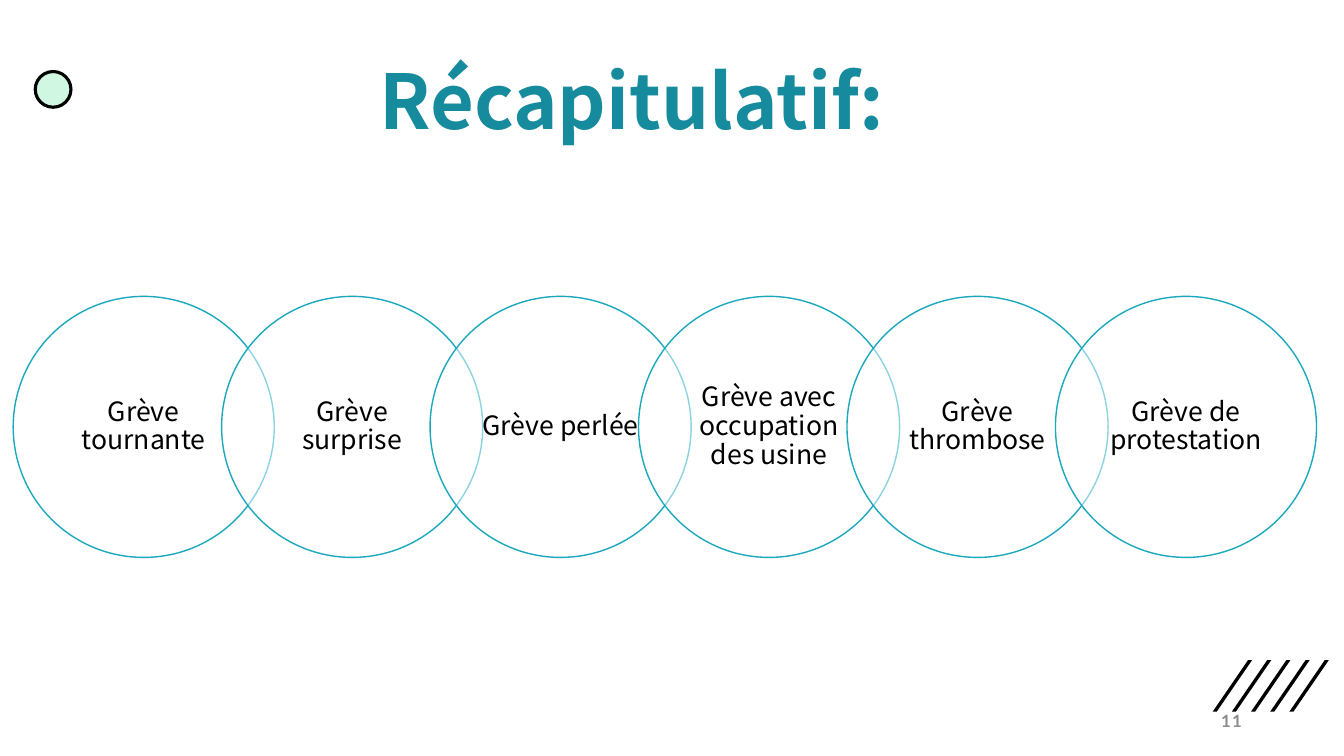
from lxml.etree import SubElement
from pptx import Presentation
from pptx.dml.color import RGBColor
from pptx.enum.shapes import MSO_SHAPE as Shape
from pptx.enum.text import MSO_ANCHOR as Anchor, PP_ALIGN as Align
from pptx.oxml.ns import qn
from pptx.util import Pt

TITLE = "Récapitulatif:"
STRIKES = [
    "Grève tournante",
    "Grève surprise",
    "Grève perlée",
    "Grève avec occupation des usine",
    "Grève thrombose",
    "Grève de protestation",
]
PAGE_NUMBER = "11"
COLORS = {
    "black": "000000", "white": "FFFFFF", "mint": "CFF7E1",
    "title": "178B9E", "ring": "1BA8BF", "number": "8C8C8C",
}
HEADING_FONT, NUMBER_FONT = "Noto Sans CJK KR", "Lato"
RING = {"left": 9.4, "top": 211.7, "size": 186.5, "pitch": 148.9}
SLASH = {"left": 866.2, "top": 471.6, "pitch": 13.7, "count": 5,
         "width": 28.1, "height": 36.7, "thickness": 2.9}


def color(name):
    return RGBColor.from_string(COLORS[name])


def write(shape, text, font, size, ink, align, bold=False):
    frame = shape.text_frame
    frame.word_wrap = True
    frame.vertical_anchor = Anchor.MIDDLE
    para = frame.paragraphs[0]
    para.text = text
    para.alignment = align
    para.font.name = font
    para.font.size = Pt(size)
    para.font.bold = bold
    para.font.color.rgb = color(ink)
    return para


def add_circle(page, left, top, size, fill, line, weight):
    circle = page.shapes.add_shape(Shape.OVAL, Pt(left), Pt(top), Pt(size), Pt(size))
    circle.shadow.inherit = False
    circle.fill.solid()
    circle.fill.fore_color.rgb = color(fill)
    circle.line.color.rgb = color(line)
    circle.line.width = Pt(weight)
    return circle


def add_slash(page, left):
    top, bottom = SLASH["top"], SLASH["top"] + SLASH["height"]
    right, thick = left + SLASH["width"], SLASH["thickness"]
    corners = [(left, bottom), (right - thick, top), (right, top)]
    outline = page.shapes.build_freeform(Pt(left + thick), Pt(bottom))
    outline.add_line_segments([(Pt(x), Pt(y)) for x, y in corners])
    slash = outline.convert_to_shape()
    slash.shadow.inherit = False
    slash.fill.solid()
    slash.fill.fore_color.rgb = color("black")
    slash.line.fill.background()


def add_strike(page, index, label):
    left = RING["left"] + index * RING["pitch"]
    ring = add_circle(page, left, RING["top"], RING["size"], "white", "ring", 1)
    tint = ring.fill._xPr.find(qn("a:solidFill"))[0]
    SubElement(tint, qn("a:alpha"), val="50000")
    frame = ring.text_frame
    frame.margin_left = frame.margin_right = Pt(10)
    frame.margin_top = frame.margin_bottom = Pt(2)
    para = write(ring, label, HEADING_FONT, 19, "black", Align.CENTER)
    para.line_spacing = 0.9


def main():
    """Build the recap slide of strike types."""
    deck = Presentation()
    deck.slide_width, deck.slide_height = Pt(960), Pt(540)
    page = deck.slides.add_slide(deck.slide_layouts[6])

    for index in range(SLASH["count"]):
        add_slash(page, SLASH["left"] + index * SLASH["pitch"])
    add_circle(page, 25.2, 51.1, 25.5, "mint", "black", 2.25)

    title_box = page.shapes.add_textbox(Pt(264), Pt(23), Pt(425), Pt(104.4))
    para = write(title_box, TITLE, HEADING_FONT, 54, "title", Align.LEFT, bold=True)
    para.line_spacing = 0.9

    for index, label in enumerate(STRIKES):
        add_strike(page, index, label)

    number_box = page.shapes.add_textbox(Pt(678.2), Pt(500.4), Pt(216), Pt(28.8))
    para = write(number_box, PAGE_NUMBER, NUMBER_FONT, 12, "number", Align.RIGHT, bold=True)
    para.runs[0].font._element.set("spc", "100")

    deck.save("out.pptx")


if __name__ == "__main__":
    main()
